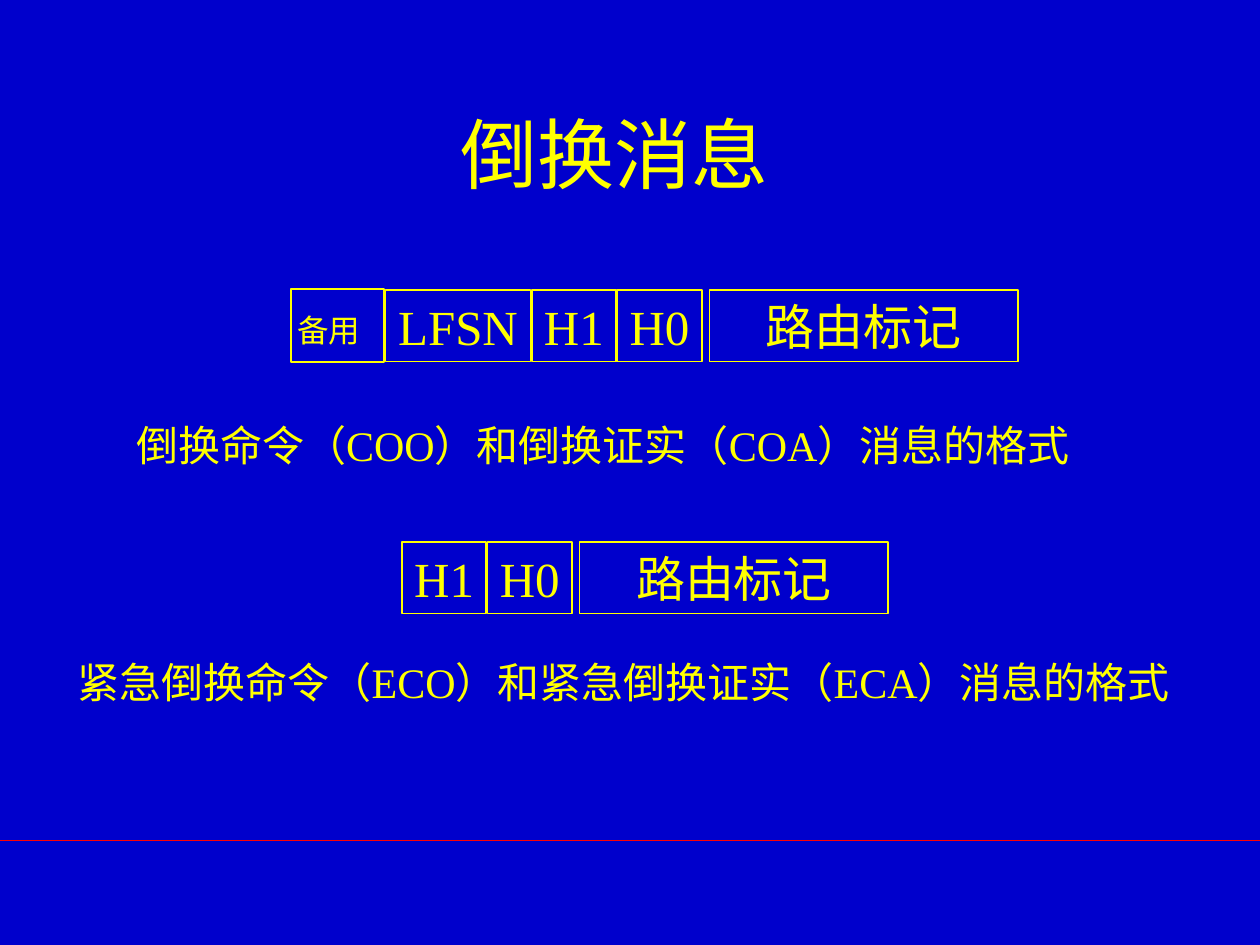
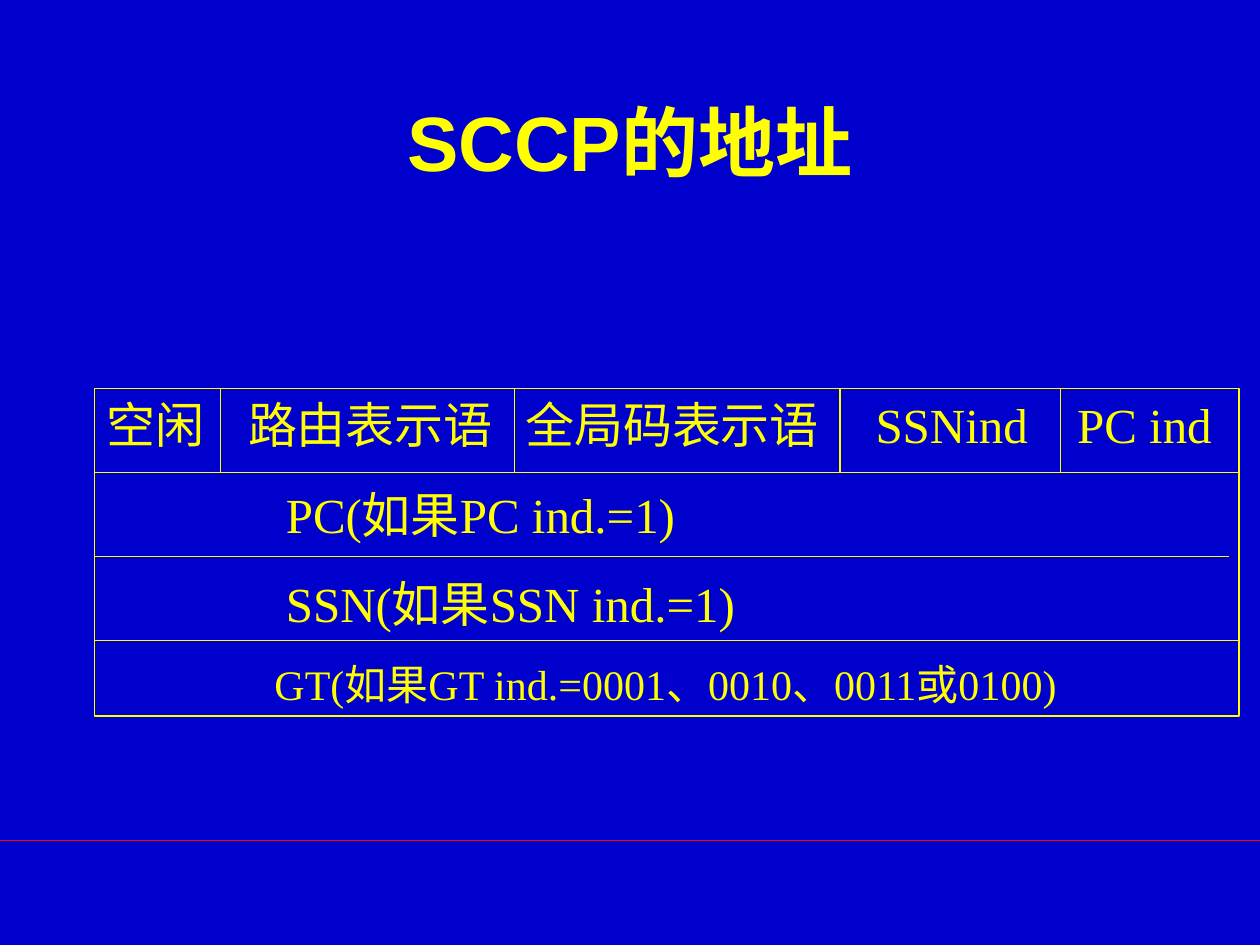
"""Build two slides on changeover message formats and the SCCP address layout."""
from lxml import etree
from pptx import Presentation
from pptx.dml.color import RGBColor
from pptx.enum.shapes import MSO_CONNECTOR, MSO_SHAPE
from pptx.enum.text import MSO_ANCHOR, PP_ALIGN
from pptx.oxml.ns import qn
from pptx.util import Inches, Pt

STRAIGHT = MSO_CONNECTOR.STRAIGHT
RECTANGLE = MSO_SHAPE.RECTANGLE
MIDDLE, TOP = MSO_ANCHOR.MIDDLE, MSO_ANCHOR.TOP
CENTER, LEFT = PP_ALIGN.CENTER, PP_ALIGN.LEFT
COLORS = {name: RGBColor.from_string(value) for name, value in
          {"ground": "0000CC", "ink": "FFFF00", "rule": "FF0000"}.items()}
BODY_FONT, TITLE_FONT = "Times New Roman", "Arial"

prs = Presentation()
prs.slide_width, prs.slide_height = Inches(10), Inches(7.5)
COLUMN, ROW = prs.slide_width / 100, prs.slide_height / 75


def draw_line(slide, x1, y1, x2, y2, color="ink"):
    """Draw a shadowless 1 pt line between two grid points."""
    line = slide.shapes.add_connector(STRAIGHT, round(x1 * COLUMN), round(y1 * ROW),
                                      round(x2 * COLUMN), round(y2 * ROW))
    line.line.color.rgb, line.line.width = COLORS[color], Pt(1)
    etree.SubElement(line.element.spPr, qn("a:effectLst"))
    return line


def add_box(slide, x, y, width, height, text="", size=28, outlined=True):
    """Place a text box or an outlined rectangle on the grid, with centred text."""
    place = (round(x * COLUMN), round(y * ROW), round(width * COLUMN), round(height * ROW))
    if outlined:
        box = slide.shapes.add_shape(RECTANGLE, *place)
        box.fill.background()
        box.line.color.rgb, box.line.width = COLORS["ink"], Pt(1)
        box.shadow.inherit = False
    else:
        box = slide.shapes.add_textbox(*place)
    box.text_frame.word_wrap = False
    box.text_frame.vertical_anchor = MIDDLE
    if text:
        paragraph = box.text_frame.paragraphs[0]
        paragraph.alignment = CENTER
        run = paragraph.add_run()
        run.text = text
        run.font.name, run.font.size = BODY_FONT, Pt(size)
        run.font.color.rgb = COLORS["ink"]
    return box


ground = prs.slide_master.background.fill
ground.solid()
ground.fore_color.rgb = COLORS["ground"]

slides = []
for heading, left, top, bold in (("倒换消息", 6.3, 5.9, False), ("SCCP的地址", 7.5, 4.9, True)):
    slide = prs.slides.add_slide(prs.slide_layouts[5])
    title = slide.shapes.title
    title.left, title.top = round(left * COLUMN), round(top * ROW)
    title.width, title.height = round(85 * COLUMN), round(12.5 * ROW)
    title.text_frame.text = heading
    title.text_frame.vertical_anchor = MIDDLE
    title.text_frame.paragraphs[0].alignment = CENTER
    title_font = title.text_frame.paragraphs[0].runs[0].font
    for key, value in {"name": TITLE_FONT, "size": Pt(44), "bold": bold}.items():
        setattr(title_font, key, value)
    title_font.color.rgb = COLORS["ink"]
    slides.append(slide)
changeover, address = slides

footer_rule = draw_line(changeover, 0, 66.72, 100, 66.72, "rule")
prs.slide_master.shapes.element.append(footer_rule.element)

common_fields = [("H1", 6.7, 0.1), ("H0", 6.7, 0.6), ("路由标记", 24.5, 0)]
messages = (
    (30.6, 23, [("LFSN", 11.5, 0.1)] + common_fields),
    (31.9, 43, common_fields),
)
for x, y, fields in messages:
    for field, width, gap in fields:
        add_box(changeover, x, y, width, 5.7, field)
        x += width + gap
add_box(changeover, 23.12, 22.95, 7.35, 5.8)
add_box(changeover, 19.8, 24.2, 12.6, 4, "备用", 18, outlined=False)
captions = (
    (8.2, 32.8, 79.3, "倒换命令（COO）和倒换证实（COA）消息的格式"),
    (2, 51.6, 95, "紧急倒换命令（ECO）和紧急倒换证实（ECA）消息的格式"),
)
for x, y, width, caption in captions:
    add_box(changeover, x, y, width, 5, caption, 24, outlined=False)

table_left, table_top, table_right, header_bottom = 7.5, 30.83, 98.33, 37.5
frame = add_box(address, table_left, table_top, table_right - table_left, 26).text_frame
frame.word_wrap = True
frame.vertical_anchor = TOP
address_rows = (
    ("空闲\t路由表示语\t全局码表示语\tSSNind\tPC ind", 28, 0, 0, (11.2, 33.2, 61, 77)),
    ("PC(如果PC ind.=1)", 28, 17.5, 14.2, ()),
    ("SSN(如果SSN ind.=1)", 28, 17.5, 14.2, ()),
    ("GT(如果GT ind.=0001、0010、0011或0100)", 24, 15, 13.3, ()),
)
for index, (content, size, space, indent, stops) in enumerate(address_rows):
    paragraph = frame.add_paragraph() if index else frame.paragraphs[0]
    properties = paragraph._p.get_or_add_pPr()
    if indent:
        properties.set("marL", str(round(indent * COLUMN)))
    if stops:
        tab_list = etree.SubElement(properties, qn("a:tabLst"))
        for stop in stops:
            etree.SubElement(tab_list, qn("a:tab"), pos=str(round(stop * COLUMN)), algn="l")
    paragraph.alignment, paragraph.space_before = LEFT, Pt(space)
    run = paragraph.add_run()
    run.text = content
    run.font.name, run.font.size = BODY_FONT, Pt(size)
    run.font.color.rgb = COLORS["ink"]

for y, right in ((header_bottom, table_right), (44.17, 97.5), (50.83, table_right)):
    draw_line(address, table_left, y, right, y)
for x in (17.5, 40.83, 66.67, 84.17):
    draw_line(address, x, table_top, x, header_bottom)

prs.save("out.pptx")
